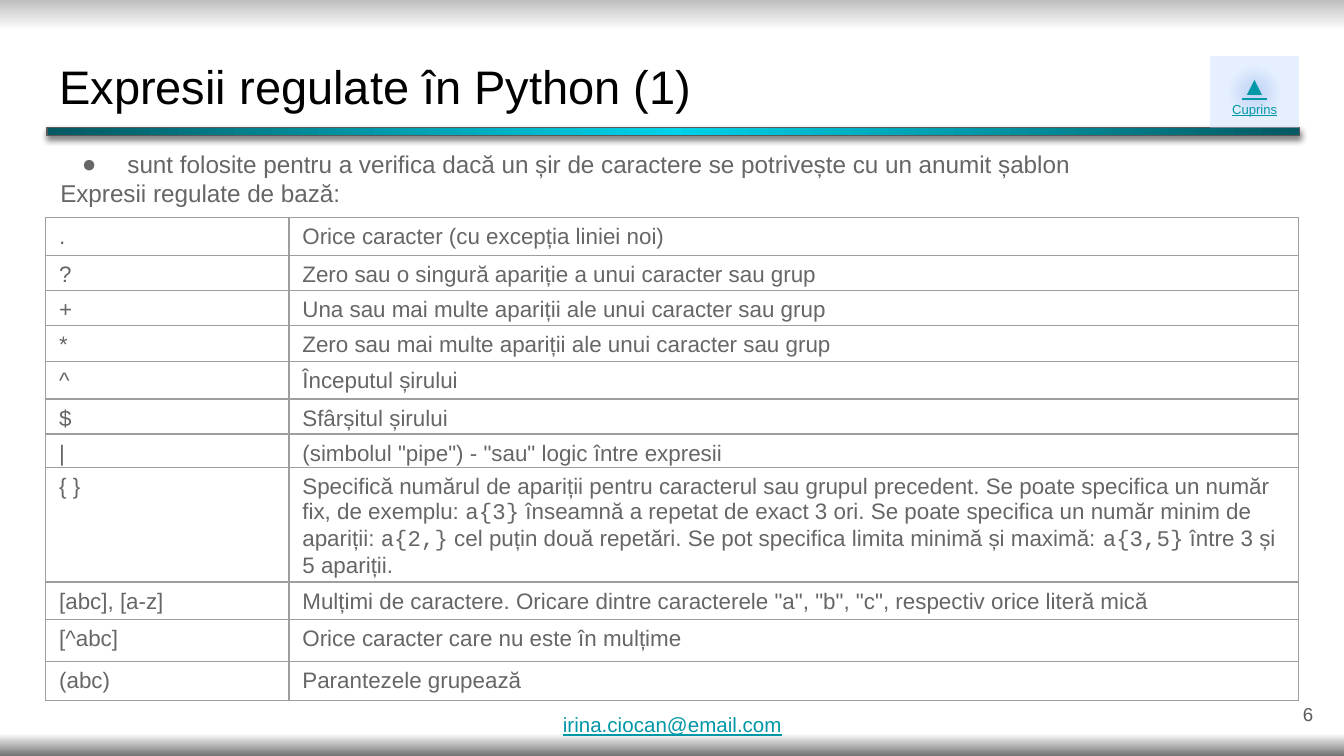
from lxml.etree import SubElement
from pptx import Presentation
from pptx.dml.color import RGBColor
from pptx.enum.shapes import MSO_SHAPE
from pptx.enum.text import MSO_ANCHOR, PP_ALIGN
from pptx.oxml import parse_xml
from pptx.oxml.ns import nsdecls, qn
from pptx.util import Inches, Pt

COLORS = {
    "title": "000000", "text": "666666", "dark": "595959",
    "link": "0097A7", "border": "9E9E9E",
}
BODY, MONO = "Arial", "Courier New"


def set_gradient(fill, parent, stops, shape):
    """Swap the solid fill in parent for a gradient; stops are (percent, hex, alpha percent)."""
    fill.solid()
    gs = "".join(
        f'<a:gs pos="{pos * 1000}"><a:srgbClr val="{color}">'
        f'<a:alpha val="{alpha * 1000}"/></a:srgbClr></a:gs>'
        for pos, color, alpha in stops)
    grad = parse_xml(f'<a:gradFill {nsdecls("a")} rotWithShape="1">'
                     f'<a:gsLst>{gs}</a:gsLst>{shape}</a:gradFill>')
    parent.replace(parent.find(qn("a:solidFill")), grad)


def add_run(p, text, size, color, font=BODY, underline=None):
    r = p.add_run()
    r.text = text
    for name, value in {"size": Pt(size), "name": font, "underline": underline}.items():
        setattr(r.font, name, value)
    r.font.color.rgb = RGBColor.from_string(COLORS[color])


LINEAR = '<a:lin ang="5400000" scaled="0"/>'
RADIAL = '<a:path path="circle"><a:fillToRect l="50000" t="50000" r="50000" b="50000"/></a:path>'

prs = Presentation()
prs.slide_width = Inches(10)
prs.slide_height = prs.slide_width * 9 // 16
s = prs.slides.add_slide(prs.slide_layouts[5])

# Background
bg_fill = s.background.fill
bg_fill.solid()
bg_pr = s.element.find(".//" + qn("p:bgPr"))
set_gradient(bg_fill, bg_pr, [(0, "BFBFBF", 100), (4, "FFFFFF", 100),
                              (97, "FFFFFF", 100), (100, "737373", 100)], LINEAR)

# Title
title = s.shapes.title
title.left, title.top, title.width, title.height = [Inches(v) for v in (0.34, 0.32, 9.32, 0.63)]
tf = title.text_frame
tf.vertical_anchor = MSO_ANCHOR.BOTTOM
for side in ("left", "top", "right", "bottom"):
    setattr(tf, f"margin_{side}", Inches(0.1))
tf.paragraphs[0].alignment = PP_ALIGN.LEFT
add_run(tf.paragraphs[0], "Expresii regulate în Python (1)", 25.2, "title")

# Bar under the title
bar = s.shapes.add_shape(MSO_SHAPE.RECTANGLE, Inches(0.35), Inches(0.95), Inches(9.32), Inches(0.06))
set_gradient(bar.fill, bar.element.spPr, [(0, "00D2E9", 100), (100, "045962", 100)], RADIAL)
bar.line.color.rgb = RGBColor.from_string(COLORS["dark"])
bar.line.width = Pt(0.75)
bar.element.spPr.append(parse_xml(
    f'<a:effectLst {nsdecls("a")}><a:outerShdw blurRad="{Pt(3.4)}" dist="{Pt(1.5)}" dir="5400000">'
    '<a:srgbClr val="000000"><a:alpha val="50000"/></a:srgbClr></a:outerShdw></a:effectLst>'))

# Text boxes and the contents button
number = s.shapes.add_textbox(Inches(9.27), Inches(5.1), Inches(0.6), Inches(0.43))
button = s.shapes.add_shape(MSO_SHAPE.RECTANGLE, Inches(9.01), Inches(0.42), Inches(0.65), Inches(0.53))
button.shadow.inherit = False
button.line.fill.background()
set_gradient(button.fill, button.element.spPr,
             [(0, "4A86E8", 37), (48, "BCD6FF", 37), (100, "BCD6FF", 37)], RADIAL)
email = s.shapes.add_textbox(Inches(4.09), Inches(5.3), Inches(1.84), Inches(0.27))
intro = s.shapes.add_textbox(Inches(0.35), Inches(1.01), Inches(9.32), Inches(4.18))

# Shape, vertical inset, anchor, wrap, alignment, colour, underline, (text, size) of each paragraph
texts = [
    (number, 0.1, MSO_ANCHOR.MIDDLE, True, PP_ALIGN.RIGHT, "dark", None, [("6", 10)]),
    (button, 0.1, MSO_ANCHOR.TOP, True, PP_ALIGN.CENTER, "link", True, [("▲", 14), ("Cuprins", 7)]),
    (email, 0, MSO_ANCHOR.TOP, False, PP_ALIGN.LEFT, "link", True, [("irina.ciocan@email.com", 11)]),
    (intro, 0.1, MSO_ANCHOR.TOP, True, PP_ALIGN.LEFT, "text", None, [
        ("sunt folosite pentru a verifica dacă un șir de caractere se potrivește cu un anumit șablon", 13),
        ("Expresii regulate de bază:", 13)]),
]
for sp, inset, anchor, wrap, align, color, underline, paragraphs in texts:
    tf = sp.text_frame
    formats = {"word_wrap": wrap, "vertical_anchor": anchor,
               "margin_left": Inches(0.1), "margin_right": Inches(0.1),
               "margin_top": Inches(inset), "margin_bottom": Inches(inset)}
    for name, value in formats.items():
        setattr(tf, name, value)
    for i, (text, size) in enumerate(paragraphs):
        p = tf.add_paragraph() if i else tf.paragraphs[0]
        p.alignment = align
        add_run(p, text, size, color, underline=underline)

# Bullet on the first intro line
pPr = intro.text_frame.paragraphs[0]._p.get_or_add_pPr()
pPr.set("marL", str(Inches(0.5)))
pPr.set("indent", str(Inches(-0.34)))
SubElement(SubElement(pPr, qn("a:buClr")), qn("a:srgbClr"), val=COLORS["text"])
SubElement(pPr, qn("a:buSzPts"), val="1300")
SubElement(pPr, qn("a:buFont"), typeface=BODY)
SubElement(pPr, qn("a:buChar"), char="●")

# Table: symbol, then its meaning in pieces that alternate between body and code font
rows = [
    (0.28, ".", ["Orice caracter (cu excepția liniei noi)"]),
    (0.26, "?", ["Zero sau o singură apariție a unui caracter sau grup"]),
    (0.26, "+", ["Una sau mai multe apariții ale unui caracter sau grup"]),
    (0.27, "*", ["Zero sau mai multe apariții ale unui caracter sau grup"]),
    (0.28, "^", ["Începutul șirului"]),
    (0.26, "$", ["Sfârșitul șirului"]),
    (0.25, "|", ['(simbolul "pipe") - "sau" logic între expresii']),
    (0.28, "{ }", [
        "Specifică numărul de apariții pentru caracterul sau grupul precedent. "
        "Se poate specifica un număr fix, de exemplu: ", "a{3}",
        " înseamnă a repetat de exact 3 ori. Se poate specifica un număr minim de apariții: ", "a{2,}",
        " cel puțin două repetări. Se pot specifica limita minimă și maximă: ", "a{3,5}",
        " între 3 și 5 apariții."]),
    (0.28, "[abc], [a-z]",
     ['Mulțimi de caractere. Oricare dintre caracterele "a", "b", "c", respectiv orice literă mică']),
    (0.31, "[^abc]", ["Orice caracter care nu este în mulțime"]),
    (0.29, "(abc)", ["Parantezele grupează"]),
]
widths = [1.81, 7.51]
table = s.shapes.add_table(len(rows), 2, Inches(0.34), Inches(1.62), Inches(sum(widths)),
                           Inches(sum(row[0] for row in rows))).table
table.first_row = table.horz_banding = False
for column, width in zip(table.columns, widths):
    column.width = Inches(width)
for i, (height, symbol, meaning) in enumerate(rows):
    table.rows[i].height = Inches(height)
    for j, pieces in enumerate(([symbol], meaning)):
        cell = table.cell(i, j)
        cell.margin_left = cell.margin_right = Inches(0.1)
        cell.margin_top, cell.margin_bottom = Inches(0.05), 0
        for k, piece in enumerate(pieces):
            add_run(cell.text_frame.paragraphs[0], piece, 12, "text", MONO if k % 2 else BODY)
        tcPr = cell._tc.get_or_add_tcPr()
        for side in ("lnL", "lnR", "lnT", "lnB"):
            ln = SubElement(tcPr, qn(f"a:{side}"), w=str(Pt(0.75)))
            SubElement(SubElement(ln, qn("a:solidFill")), qn("a:srgbClr"), val=COLORS["border"])
        cell.fill.background()

prs.save("out.pptx")
